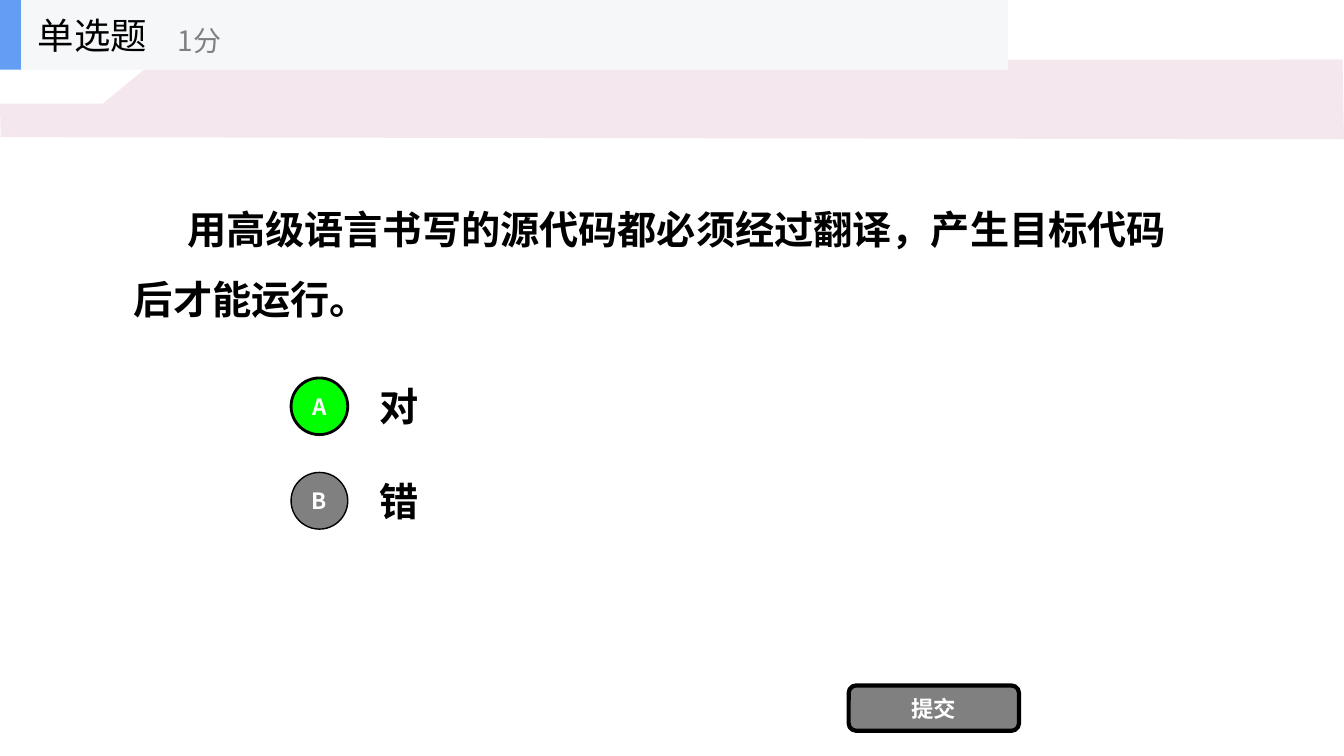
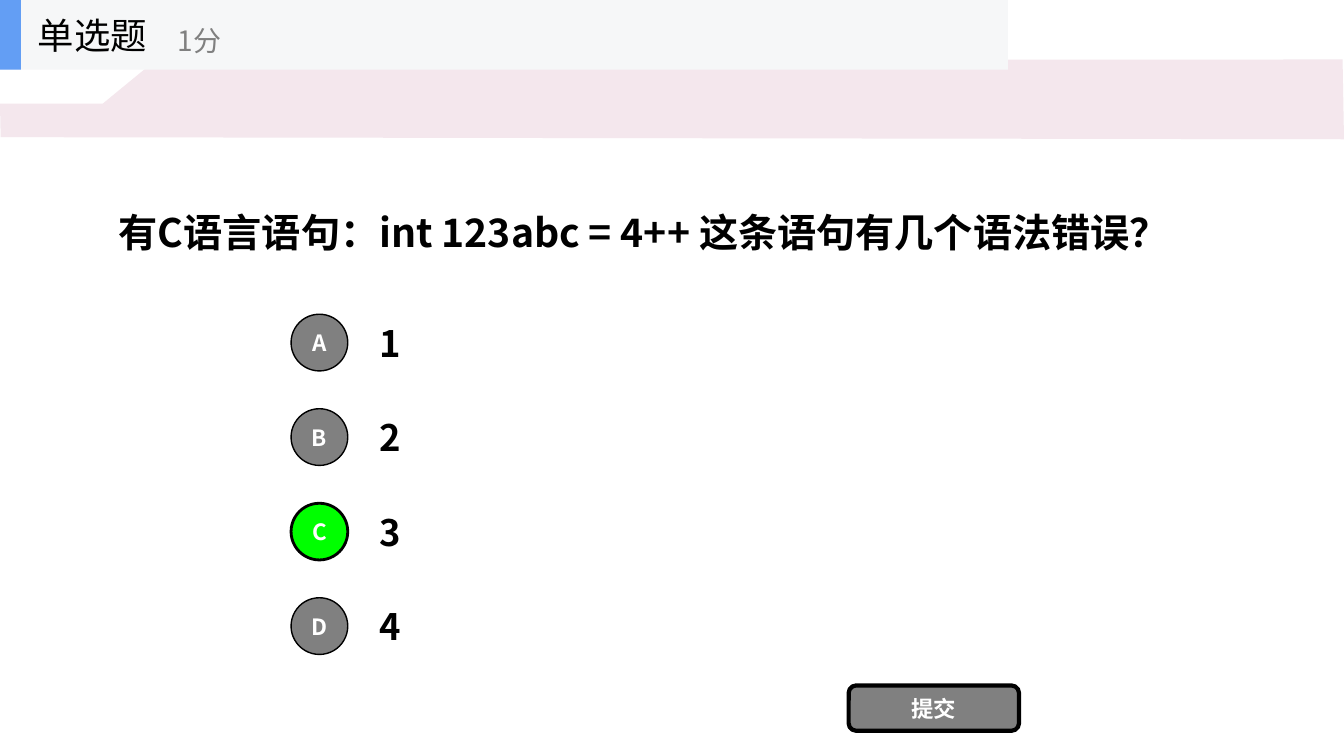
"""Build two single-choice quiz slides with a shared header, band and submit button."""
from dataclasses import dataclass

from lxml import etree
from pptx import Presentation
from pptx.dml.color import RGBColor
from pptx.enum.shapes import MSO_SHAPE
from pptx.enum.text import MSO_ANCHOR, PP_ALIGN
from pptx.oxml.ns import qn
from pptx.util import Pt

RECTANGLE = MSO_SHAPE.RECTANGLE
ROUNDED = MSO_SHAPE.ROUNDED_RECTANGLE
OVAL = MSO_SHAPE.OVAL
MIDDLE = MSO_ANCHOR.MIDDLE
LEFT = PP_ALIGN.LEFT
CENTER = PP_ALIGN.CENTER

FONT = "Noto Sans CJK SC"
COLORS = {
    "black": "000000",
    "white": "FFFFFF",
    "gray": "808080",
    "correct": "00FF00",
    "band": "F4E7ED",
    "header": "F6F7F8",
    "accent": "639EF4",
}
SLIDE_WIDTH, SLIDE_HEIGHT = 960, 540
BAND_POINTS = [
    (0, 74), (73.5, 74), (129.5, 28), (360, 28),
    (377, 43), (959, 42.5), (960, 99.5), (0.5, 98),
]
HEADER_HEIGHT = 49.7
OPTION_PITCH = 67.5
OPTION_HEIGHT = 50.4
CIRCLE_SIZE = 40.5


@dataclass(frozen=True)
class Box:
    left: float
    top: float
    width: float
    height: float

    def lengths(self) -> tuple:
        return Pt(self.left), Pt(self.top), Pt(self.width), Pt(self.height)


@dataclass(frozen=True)
class TextStyle:
    size: float
    color: str = "black"
    bold: bool = True
    align: PP_ALIGN = LEFT
    line_spacing: float = 1.0
    indent: float = 0


@dataclass(frozen=True)
class Quiz:
    question: str
    question_box: Box
    question_style: TextStyle
    options: tuple[str, ...]
    option_size: float
    options_top: float
    answer: int


LABEL_STYLE = TextStyle(16, "white", align=CENTER)

QUIZZES = [
    Quiz(
        "用高级语言书写的源代码都必须经过翻译，产生目标代码后才能运行。",
        Box(88.6, 95.8, 759.6, 168.5),
        TextStyle(28, line_spacing=1.5, indent=38),
        ("对", "错"), 28, 265, 0,
    ),
    Quiz(
        "有C语言语句：int 123abc = 4++ 这条语句有几个语法错误？",
        Box(77.8, 111.6, 793.4, 107.3),
        TextStyle(28),
        ("1", "2", "3", "4"), 26, 219.5, 2,
    ),
]


def color(name: str) -> RGBColor:
    return RGBColor.from_string(COLORS[name])


def write_text(shape, text: str, style: TextStyle) -> None:
    frame = shape.text_frame
    frame.word_wrap = True
    frame.vertical_anchor = MIDDLE
    paragraph = frame.paragraphs[0]
    paragraph.alignment = style.align
    paragraph.line_spacing = style.line_spacing
    if style.indent:
        paragraph._p.get_or_add_pPr().set("indent", str(Pt(style.indent)))
    run = paragraph.add_run()
    run.text = text
    run.font.size = Pt(style.size)
    run.font.bold = style.bold
    run.font.color.rgb = color(style.color)
    run.font.name = FONT
    etree.SubElement(run._r.get_or_add_rPr(), qn("a:ea")).set("typeface", FONT)


def paint(shape, fill: str, line_width: float = 0) -> None:
    shape.shadow.inherit = False
    shape.fill.solid()
    shape.fill.fore_color.rgb = color(fill)
    if line_width:
        shape.line.color.rgb = color("black")
        shape.line.width = Pt(line_width)
    else:
        shape.line.fill.background()


def add_text(shapes, box: Box, text: str, style: TextStyle) -> None:
    write_text(shapes.add_textbox(*box.lengths()), text, style)


def add_block(shapes, kind: MSO_SHAPE, box: Box, fill: str,
              line_width: float = 0, label: str = "") -> None:
    shape = shapes.add_shape(kind, *box.lengths())
    paint(shape, fill, line_width)
    if label:
        write_text(shape, label, LABEL_STYLE)


def add_band(slide) -> None:
    start, *others = [(Pt(x), Pt(y)) for x, y in BAND_POINTS]
    builder = slide.shapes.build_freeform(*start)
    builder.add_line_segments(others, close=True)
    paint(builder.convert_to_shape(), "band")


def add_header(slide) -> None:
    shapes = slide.shapes.add_group_shape().shapes
    add_block(shapes, RECTANGLE, Box(0, 0, 720, HEADER_HEIGHT), "header")
    add_block(shapes, RECTANGLE, Box(0, 0, 15, HEADER_HEIGHT), "accent")
    add_text(shapes, Box(20, 0, 150, HEADER_HEIGHT), "单选题",
             TextStyle(26, bold=False))
    add_text(shapes, Box(120, 8.6, 180, 40.3), "1分",
             TextStyle(20, "gray", bold=False))


def add_options(slide, quiz: Quiz) -> None:
    for index, option in enumerate(quiz.options):
        top = quiz.options_top + index * OPTION_PITCH
        add_text(slide.shapes, Box(264, top, 504, OPTION_HEIGHT), option,
                 TextStyle(quiz.option_size))
        circle_top = top + (OPTION_HEIGHT - CIRCLE_SIZE) / 2
        circle = Box(207.9, circle_top, CIRCLE_SIZE, CIRCLE_SIZE)
        fill, line_width = ("correct", 2) if index == quiz.answer else ("gray", 1)
        add_block(slide.shapes, OVAL, circle, fill, line_width, "ABCD"[index])


def add_quiz(presentation, quiz: Quiz) -> None:
    slide = presentation.slides.add_slide(presentation.slide_layouts[6])
    add_band(slide)
    add_text(slide.shapes, quiz.question_box, quiz.question, quiz.question_style)
    add_options(slide, quiz)
    add_block(slide.shapes, ROUNDED, Box(606.2, 489.6, 121.7, 32.4),
              "gray", 3, "提交")
    add_header(slide)


def main() -> None:
    presentation = Presentation()
    presentation.slide_width = Pt(SLIDE_WIDTH)
    presentation.slide_height = Pt(SLIDE_HEIGHT)
    for quiz in QUIZZES:
        add_quiz(presentation, quiz)
    presentation.save("out.pptx")


if __name__ == "__main__":
    main()
